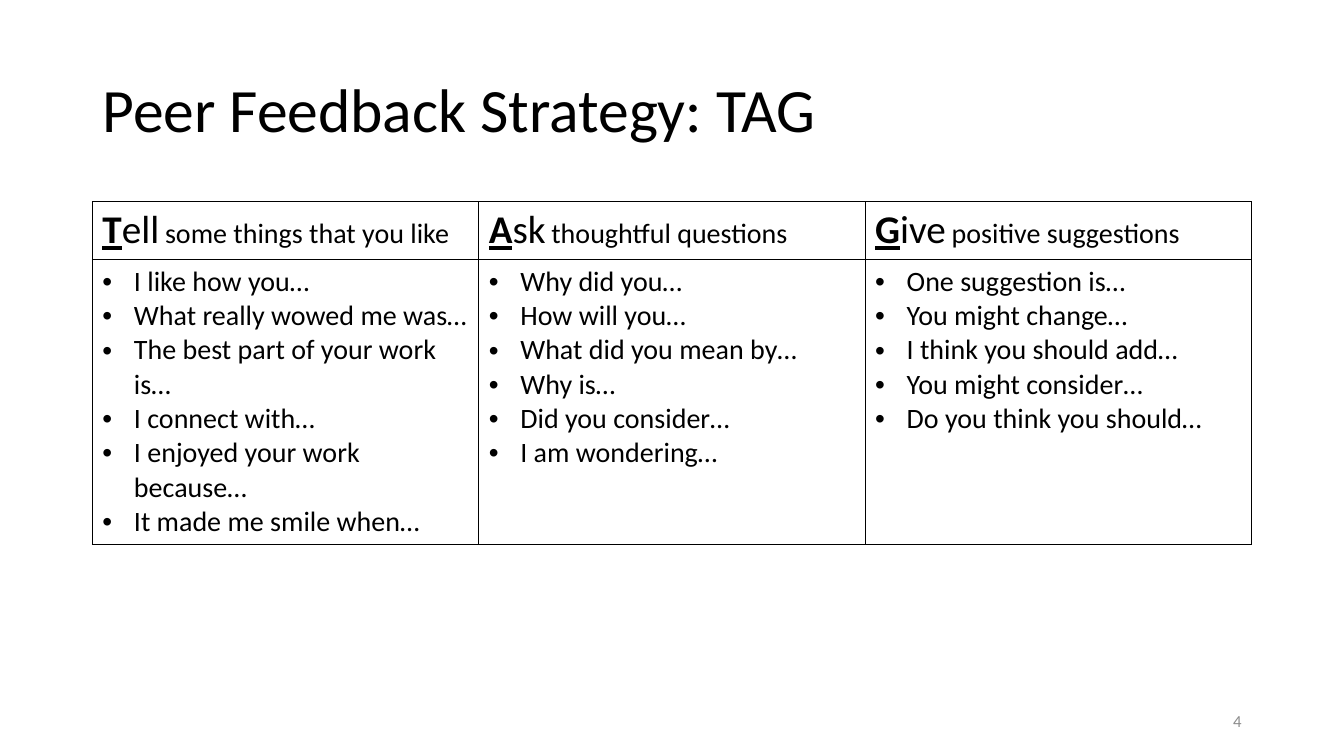
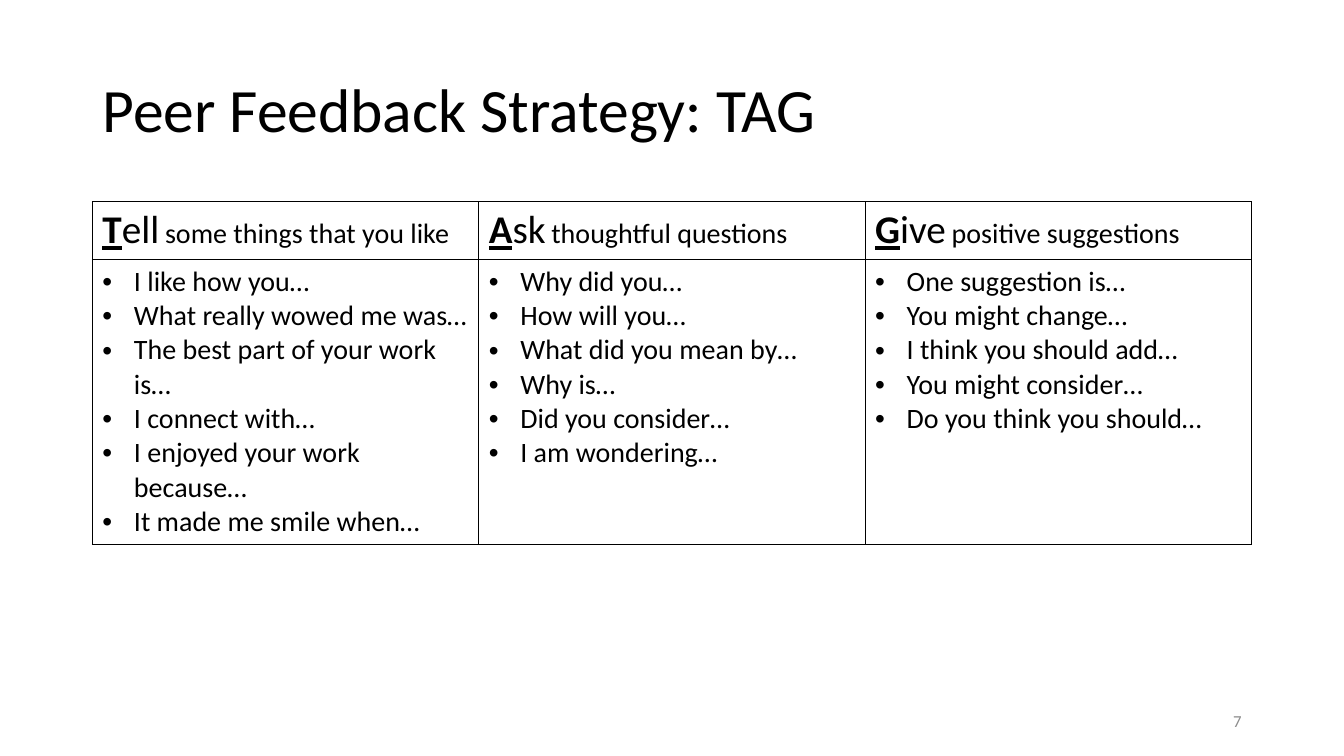
from dataclasses import dataclass

from lxml import etree
from pptx import Presentation
from pptx.dml.color import RGBColor
from pptx.enum.text import MSO_ANCHOR, MSO_AUTO_SIZE, PP_ALIGN
from pptx.oxml.ns import qn
from pptx.util import Pt

LEFT, RIGHT = PP_ALIGN.LEFT, PP_ALIGN.RIGHT
MIDDLE = MSO_ANCHOR.MIDDLE
NO_AUTOFIT = MSO_AUTO_SIZE.NONE

# Content
TITLE = "Peer Feedback Strategy: TAG"
PAGE_NUMBERS = ["4", "7"]
# Each column: initial, rest of the keyword, heading, prompts
TAG_COLUMNS = [
    ("T", "ell", "some things that you like", [
        "I like how you…",
        "What really wowed me was…",
        "The best part of your work is…",
        "I connect with…",
        "I enjoyed your work because…",
        "It made me smile when…",
    ]),
    ("A", "sk", "thoughtful questions", [
        "Why did you…",
        "How will you…",
        "What did you mean by…",
        "Why is…",
        "Did you consider…",
        "I am wondering…",
    ]),
    ("G", "ive", "positive suggestions", [
        "One suggestion is…",
        "You might change…",
        "I think you should add…",
        "You might consider…",
        "Do you think you should…",
    ]),
]


@dataclass(frozen=True)
class Theme:
    font: str = "Calibri"
    ink: str = "000000"
    muted: str = "8C8C8C"
    title: int = 44
    keyword: int = 28
    gap: int = 18
    body: int = 20
    number: int = 12
    border: int = 1


THEME = Theme()

# Geometry in px (96 to the inch)
EMU_PER_PX = 9525
SLIDE_SIZE = (1280, 720)
MARGIN = 88
CONTENT_WIDTH = SLIDE_SIZE[0] - 2 * MARGIN
TITLE_BOX = (MARGIN, 38, CONTENT_WIDTH, 139)
ROW_HEIGHTS = (55, 271)
TABLE_BOX = (MARGIN, 192, CONTENT_WIDTH, sum(ROW_HEIGHTS))
NUMBER_WIDTH = 288
NUMBER_BOX = (SLIDE_SIZE[0] - MARGIN - NUMBER_WIDTH, 667, NUMBER_WIDTH, 38)
BULLET_INDENT = 30


def px(length):
    return round(length * EMU_PER_PX)


def place(box):
    return [px(length) for length in box]


def add_text(para, text, size=THEME.body, color=THEME.ink, bold=False, underline=False):
    span = para.add_run()
    span.text = text
    font = span.font
    font.name, font.size = THEME.font, Pt(size)
    font.bold, font.underline = bold, underline
    font.color.rgb = RGBColor.from_string(color)


def add_bullet(para):
    properties = para._p.get_or_add_pPr()
    properties.set("marL", str(px(BULLET_INDENT)))
    properties.set("indent", str(-px(BULLET_INDENT)))
    etree.SubElement(properties, qn("a:buFont")).set("typeface", "Arial")
    etree.SubElement(properties, qn("a:buChar")).set("char", "•")


def style_cell(cell):
    properties = cell._tc.get_or_add_tcPr()
    for side in ("a:lnL", "a:lnR", "a:lnT", "a:lnB"):
        line = etree.SubElement(properties, qn(side), w=str(Pt(THEME.border)))
        fill = etree.SubElement(line, qn("a:solidFill"))
        etree.SubElement(fill, qn("a:srgbClr"), val=THEME.ink)
    cell.fill.background()


def add_title(page):
    title = page.shapes.title
    title.left, title.top, title.width, title.height = place(TITLE_BOX)
    frame = title.text_frame
    frame.auto_size = NO_AUTOFIT
    frame.vertical_anchor = MIDDLE
    para = frame.paragraphs[0]
    para.alignment, para.line_spacing = LEFT, 0.9
    add_text(para, TITLE, size=THEME.title)


def add_tag_table(page):
    table = page.shapes.add_table(len(ROW_HEIGHTS), len(TAG_COLUMNS), *place(TABLE_BOX)).table
    table.first_row = table.horz_banding = False
    for row, height in zip(table.rows, ROW_HEIGHTS):
        row.height = px(height)
    for index, (initial, rest, heading, prompts) in enumerate(TAG_COLUMNS):
        table.columns[index].width = px(CONTENT_WIDTH / len(TAG_COLUMNS))
        header, body = table.cell(0, index), table.cell(1, index)
        style_cell(header)
        style_cell(body)

        # Heading with the emphasised initial
        para = header.text_frame.paragraphs[0]
        add_text(para, initial, size=THEME.keyword, bold=True, underline=True)
        add_text(para, rest, size=THEME.keyword)
        add_text(para, " ", size=THEME.gap)
        add_text(para, heading)

        # Sentence starters
        frame = body.text_frame
        for order, prompt in enumerate(prompts):
            para = frame.add_paragraph() if order else frame.paragraphs[0]
            add_bullet(para)
            add_text(para, prompt)


def add_page_number(page, number):
    frame = page.shapes.add_textbox(*place(NUMBER_BOX)).text_frame
    frame.word_wrap = True
    frame.vertical_anchor = MIDDLE
    para = frame.paragraphs[0]
    para.alignment = RIGHT
    add_text(para, number, size=THEME.number, color=THEME.muted)


def main():
    deck = Presentation()
    deck.slide_width, deck.slide_height = place(SLIDE_SIZE)
    title_only = deck.slide_layouts.get_by_name("Title Only")
    for number in PAGE_NUMBERS:
        page = deck.slides.add_slide(title_only)
        add_title(page)
        add_tag_table(page)
        add_page_number(page, number)
    deck.save("out.pptx")


if __name__ == "__main__":
    main()
